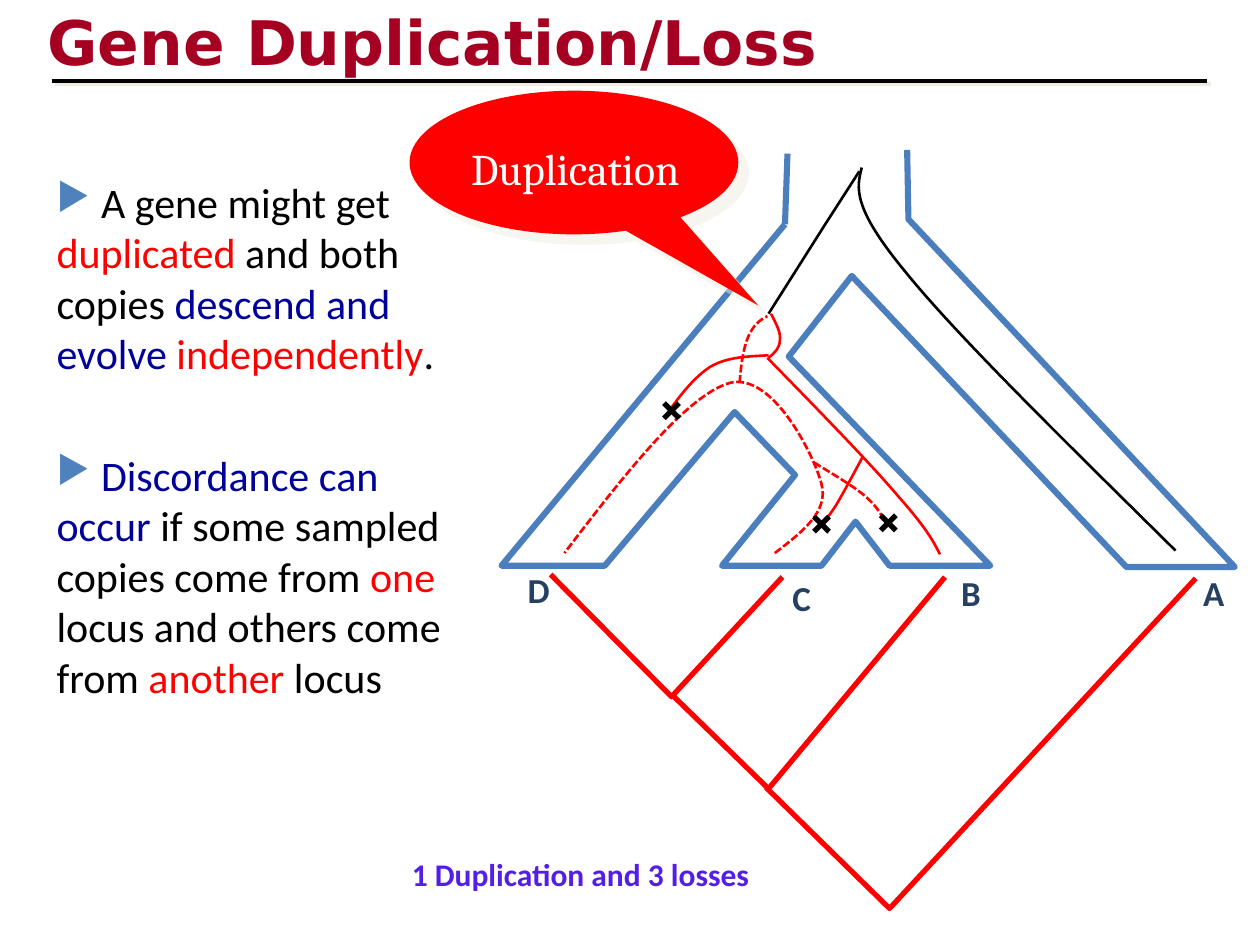
from lxml import etree
from pptx import Presentation
from pptx.dml.color import RGBColor
from pptx.enum import dml, shapes, text
from pptx.oxml import ns
from pptx.util import Inches, Pt

BLUE, RED, BLACK, NAVY, BEIGE = "4B7EBC", "FF0000", "000000", "000099", "EEECE1"

SPECIES_TREE = [
    [(6.23, 1.78), (3.98, 4.49), (4.8, 4.49), (5.83, 3.27), (6.31, 3.77), (5.73, 4.49),
     (6.52, 4.49), (6.79, 4.14), (7.06, 4.49), (7.86, 4.49), (6.26, 2.83), (6.76, 2.19),
     (8.94, 4.5), (9.8, 4.5), (7.21, 1.74), (7.2, 1.19)],
    [(6.23, 1.78), (6.25, 1.22)],
]
GENE_TREE = [
    [(4.37, 4.56), (5.33, 5.53), (6.21, 4.58)],
    [(5.33, 5.51), (6.1, 6.26), (7.5, 4.58)],
    [(6.08, 6.25), (7.06, 7.21), (9.49, 4.59)],
]
LEAVES = [("D", 4.09, 4.46), ("C", 6.19, 4.53), ("B", 7.53, 4.49), ("A", 9.45, 4.49)]
DUPLICATED_COPY = [
    [(6.15, 4.39), (6.37, 4.22), (6.58, 4.06), (6.52, 3.84), (6.46, 3.61), (6.13, 2.95),
     (5.79, 3.04), (5.45, 3.14), (4.96, 3.76), (4.48, 4.39)],
    [(6.46, 3.67), (6.62, 3.77), (6.78, 3.86), (6.88, 3.95), (6.97, 4.03), (7.01, 4.11),
     (7.05, 4.18)],
    [(5.87, 3.04), (5.88, 2.9), (5.9, 2.76), (5.94, 2.67), (5.98, 2.58), (6.03, 2.54),
     (6.09, 2.51)],
]
FIRST_COPY = [
    [(6.1, 2.82), (5.94, 2.83), (5.78, 2.83), (5.64, 2.91), (5.5, 3), (5.38, 3.16),
     (5.27, 3.32)],
    [(6.09, 2.84), (6.5, 3.26), (6.91, 3.68), (7.13, 3.94), (7.36, 4.2), (7.41, 4.3),
     (7.46, 4.4)],
    [(6.1, 2.84), (6.15, 2.8), (6.19, 2.76), (6.19, 2.7), (6.2, 2.64), (6.16, 2.57),
     (6.12, 2.49)],
    [(6.85, 3.62), (6.77, 3.77), (6.69, 3.92), (6.63, 4.02), (6.57, 4.11), (6.54, 4.14),
     (6.51, 4.17)],
]
ANCESTRAL_CURVE = [(9.33, 4.37), (8.46, 3.51), (7.59, 2.66), (7.18, 2.15), (6.76, 1.64),
                   (6.8, 1.49), (6.84, 1.33)]
ANCESTRAL_BRANCH = [(6.1, 2.49), (6.55, 1.78), (6.82, 1.36)]
LOSSES = [(7.05, 4.15), (5.33, 3.26), (6.52, 4.16)]
LOSS_REACH = 0.06
BULLETS = [
    [(" A gene might get ", BLACK), ("duplicated", RED), (" and both copies ", BLACK),
     ("descend and evolve ", NAVY), ("independently", RED), (".", BLACK)],
    [(" ", BLACK), ("Discordance can occur ", NAVY),
     ("if some sampled copies come from ", BLACK), ("one", RED),
     (" locus and others come from ", BLACK), ("another", RED), (" locus", BLACK)],
]

presentation = Presentation()
presentation.slide_width, presentation.slide_height = Inches(10), Inches(7.5)
slide = presentation.slides.add_slide(presentation.slide_layouts[6])


def color(value):
    return RGBColor.from_string(value)


def child(parent, tag, **attributes):
    return etree.SubElement(parent, ns.qn(tag), attributes)


def add_shadow(effects, distance, alpha):
    shadow = child(effects, "a:outerShdw", dist=str(Pt(distance)), dir="2700000", algn="ctr")
    shade = child(shadow, "a:srgbClr", val=BEIGE)
    child(shade, "a:alpha", val=str(alpha * 1000))


def style_line(line, line_color, width):
    line.color.rgb = color(line_color)
    line.width = Pt(width)


def draw_path(points, line_color, width, curved=False, dashed=False):
    points = [(Inches(x), Inches(y)) for x, y in points]
    builder = slide.shapes.build_freeform(*points[0])
    builder.add_line_segments(points[1:], close=False)
    shape = builder.convert_to_shape()
    shape.shadow.inherit = False
    shape.fill.background()
    style_line(shape.line, line_color, width)
    if dashed:
        shape.line.dash_style = dml.MSO_LINE.SQUARE_DOT
        shape.line._ln.find(ns.qn("a:prstDash")).set("val", "sysDash")
    child(shape.line._ln, "a:round")
    if curved:
        steps = list(shape._element.iter(ns.qn("a:lnTo")))
        for start in range(0, len(steps), 3):
            curve = etree.Element(ns.qn("a:cubicBezTo"))
            steps[start].addprevious(curve)
            for step in steps[start:start + 3]:
                curve.append(step[0])
                step.getparent().remove(step)


def draw_line(begin, end, width):
    ends = [Inches(value) for value in (*begin, *end)]
    connector = slide.shapes.add_connector(shapes.MSO_CONNECTOR.STRAIGHT, *ends)
    style_line(connector.line, BLACK, width)
    return child(connector._element.spPr, "a:effectLst")


def draw_loss(x, y):
    for rise in (LOSS_REACH, -LOSS_REACH):
        draw_line((x - LOSS_REACH, y - rise), (x + LOSS_REACH, y + rise), 3)


def style_font(font, size, name, font_color, bold=False):
    font.size, font.name, font.bold = Pt(size), name, bold
    font.color.rgb = color(font_color)


def add_box(left, top, width, height):
    box = slide.shapes.add_textbox(Inches(left), Inches(top), Inches(width), Inches(height))
    box.text_frame.word_wrap = True
    return box.text_frame


def add_label(words, place, size, name, font_color, bold=True):
    frame = add_box(*place)
    frame.text = words
    style_font(frame.paragraphs[0].runs[0].font, size, name, font_color, bold)
    return frame


for points in SPECIES_TREE:
    draw_path(points, BLUE, 3.5)
for points in GENE_TREE:
    draw_path(points, RED, 3)
for leaf, left, top in LEAVES:
    add_label(leaf, (left, top, 0.34, 0.44), 20, "Calibri", "254061")
for points in DUPLICATED_COPY:
    draw_path(points, RED, 1.5, curved=True, dashed=True)
for points in FIRST_COPY:
    draw_path(points, RED, 1.5, curved=True)
draw_path(ANCESTRAL_CURVE, BLACK, 1.5, curved=True)
draw_path(ANCESTRAL_BRANCH, BLACK, 1.5)
for x, y in LOSSES:
    draw_loss(x, y)

callout = slide.shapes.add_shape(shapes.MSO_SHAPE.OVAL_CALLOUT, Inches(3.25), Inches(0.72),
                                 Inches(2.61), Inches(1.14))
callout.adjustments[0], callout.adjustments[1] = 0.561, 0.996
callout.fill.solid()
callout.fill.fore_color.rgb = color(RED)
callout.line.fill.background()
callout.shadow.inherit = False
add_shadow(callout._element.spPr.find(ns.qn("a:effectLst")), 8.5, 50)
duplication = add_label("Duplication", (3.37, 1.08, 2.39, 0.43), 25, "Cambria", "FFFFFF", False)
duplication.paragraphs[0].alignment = text.PP_ALIGN.CENTER

add_label("1 Duplication and 3 losses", (3.17, 6.74, 2.97, 0.4), 18, "Calibri", "531FE7")

title = add_label("Gene Duplication/Loss", (0.28, -0.01, 8.5, 0.67), 35.1, "DejaVu Sans", "A50021")
title.vertical_anchor = text.MSO_ANCHOR.MIDDLE
title_effects = etree.Element(ns.qn("a:effectLst"))
title.paragraphs[0].runs[0].font._element.find(ns.qn("a:solidFill")).addnext(title_effects)
add_shadow(title_effects, 2.8, 100)
add_shadow(draw_line((0.41, 0.64), (9.58, 0.64), 2.25), 2.8, 100)

body = add_box(0.35, 1.35, 3.31, 5.2)
for index, parts in enumerate(BULLETS):
    paragraph = body.add_paragraph() if index else body.paragraphs[0]
    if index:
        paragraph.space_before = Pt(41)
    properties = paragraph._p.get_or_add_pPr()
    properties.set("marL", "0")
    properties.set("indent", "0")
    child(child(properties, "a:buClr"), "a:srgbClr", val="4F81BD")
    child(properties, "a:buSzPct", val="90000")
    child(properties, "a:buChar", char="▶")
    for words, run_color in parts:
        run = paragraph.add_run()
        run.text = words
        style_font(run.font, 24, "Calibri", run_color)

presentation.save("out.pptx")
